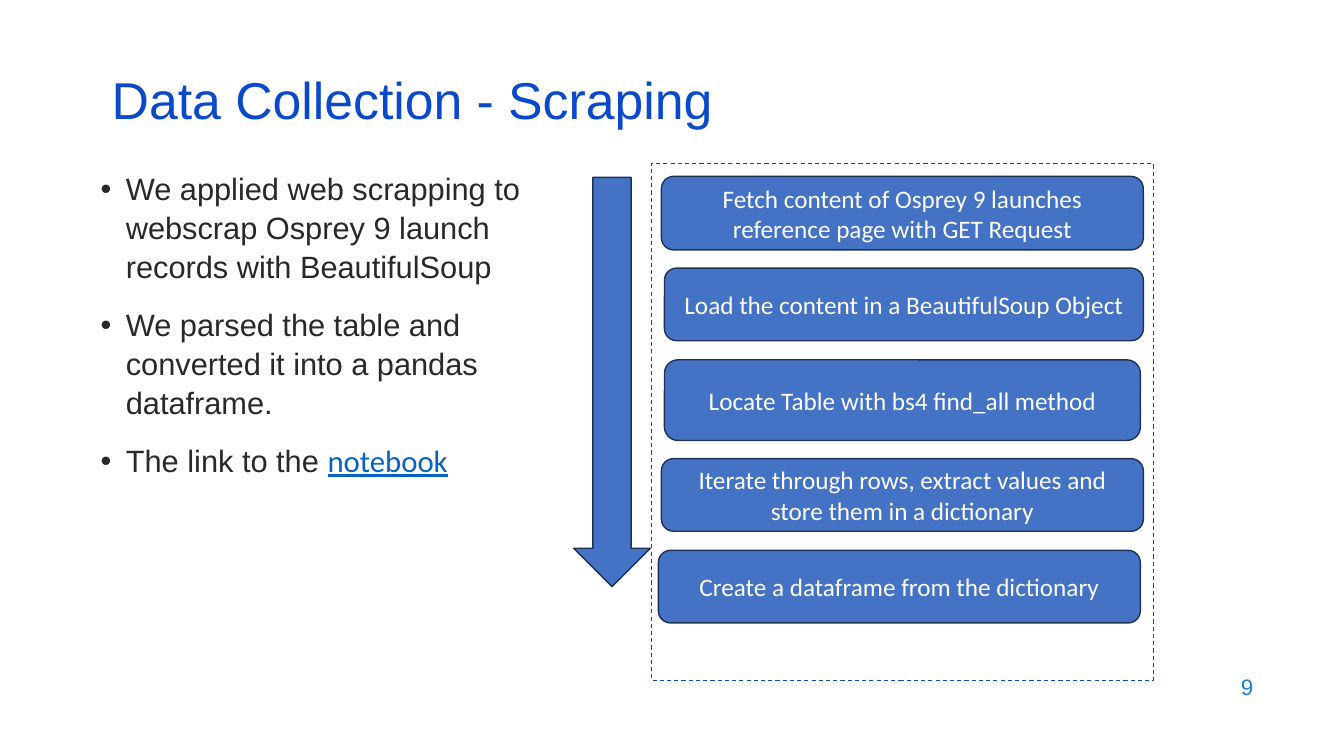
from lxml.etree import SubElement
from pptx import Presentation
from pptx.dml.color import RGBColor
from pptx.enum.dml import MSO_LINE
from pptx.enum.shapes import MSO_SHAPE as Shape
from pptx.enum.text import MSO_ANCHOR as Anchor, PP_ALIGN as Align
from pptx.oxml.ns import qn
from pptx.util import Inches, Pt

TITLE_BLUE = RGBColor(0x0B, 0x49, 0xCB)
NUMBER_BLUE = RGBColor(0x1C, 0x7D, 0xDB)
LINK_BLUE = RGBColor(0x05, 0x63, 0xC1)
STEP_BLUE = RGBColor(0x44, 0x72, 0xC4)
STEP_EDGE = RGBColor(0x1E, 0x32, 0x56)
INK = RGBColor(0x29, 0x29, 0x29)
WHITE = RGBColor(0xFF, 0xFF, 0xFF)

BULLETS = [
    "We applied web scrapping to webscrap Osprey 9 launch records with BeautifulSoup",
    "We parsed the table and converted it into a pandas dataframe.",
    "The link to the ",
]
# left, top, width, height, wording; no-break spaces hold the line ends
STEPS = [
    (6.56, 1.75, 4.78, 0.73, "Fetch content of Osprey 9 launches reference page with GET Request"),
    (6.59, 2.66, 4.75, 0.72, "Load the content in a BeautifulSoup Object"),
    (6.59, 3.57, 4.72, 0.8, "Locate Table with bs4 find_all method"),
    (6.56, 4.55, 4.78, 0.72, "Iterate through rows, extract values and store them in a dictionary"),
    (6.53, 5.46, 4.78, 0.72, "Create a dataframe from the dictionary"),
]


class SlideBuilder:
    def __init__(self, page):
        self.page = page
        self.heading_font = "Arial"
        self.step_font = "Calibri"

    def span(self, para, text, size, color, font=None):
        span = para.add_run()
        span.text = text
        span.font.size = Pt(size)
        span.font.name = font or self.heading_font
        span.font.color.rgb = color
        return span

    def text_box(self, left, top, width, height, anchor=Anchor.MIDDLE):
        box = self.page.shapes.add_textbox(
            Inches(left), Inches(top), Inches(width), Inches(height))
        box.text_frame.word_wrap = True
        box.text_frame.vertical_anchor = anchor
        return box.text_frame

    def bullet(self, para, text, first):
        properties = para._p.get_or_add_pPr()
        properties.set("marL", str(Inches(0.25)))
        properties.set("indent", str(Inches(-0.25)))
        SubElement(properties, qn("a:buFont")).set("typeface", self.heading_font)
        SubElement(properties, qn("a:buChar")).set("char", "•")
        para.line_spacing = 1.05
        if not first:
            para.space_before = Pt(14)
        self.span(para, text, 22, INK)

    def shape(self, kind, left, top, width, height, fill=STEP_BLUE, edge=STEP_EDGE, weight=1):
        shape = self.page.shapes.add_shape(
            kind, Inches(left), Inches(top), Inches(width), Inches(height))
        shape.shadow.inherit = False
        if fill is None:
            shape.fill.background()
        else:
            shape.fill.solid()
            shape.fill.fore_color.rgb = fill
        shape.line.color.rgb = edge
        shape.line.width = Pt(weight)
        return shape

    def step(self, left, top, width, height, text):
        frame = self.shape(Shape.ROUNDED_RECTANGLE, left, top, width, height).text_frame
        frame.word_wrap = True
        frame.vertical_anchor = Anchor.MIDDLE
        para = frame.paragraphs[0]
        para.alignment = Align.CENTER
        self.span(para, text, 18, WHITE, self.step_font)


def main():
    deck = Presentation()
    deck.slide_width, deck.slide_height = Inches(13.33), Inches(7.5)
    builder = SlideBuilder(deck.slides.add_slide(deck.slide_layouts[6]))

    number = builder.text_box(9.53, 6.59, 3, 0.44).paragraphs[0]
    number.alignment = Align.RIGHT
    builder.span(number, "9", 16, NUMBER_BLUE)

    body = builder.text_box(0.9, 1.62, 5.09, 5.13, Anchor.TOP)
    for index, text in enumerate(BULLETS):
        para = body.add_paragraph() if index else body.paragraphs[0]
        builder.bullet(para, text, first=index == 0)
    notebook = builder.span(para, "notebook", 22, LINK_BLUE, builder.step_font)
    notebook.font.underline = True

    title = builder.text_box(1.01, 0.76, 11.5, 0.6).paragraphs[0]
    title.line_spacing = 0.7
    builder.span(title, "Data Collection - Scraping", 37, TITLE_BLUE)

    frame = builder.shape(Shape.RECTANGLE, 6.46, 1.62, 4.98, 5.13, None, TITLE_BLUE, 0.75)
    frame.line.dash_style = MSO_LINE.DASH
    for step in STEPS:
        builder.step(*step)
    builder.shape(Shape.DOWN_ARROW, 5.69, 1.76, 0.76, 4.06)

    deck.save("out.pptx")


if __name__ == "__main__":
    main()
